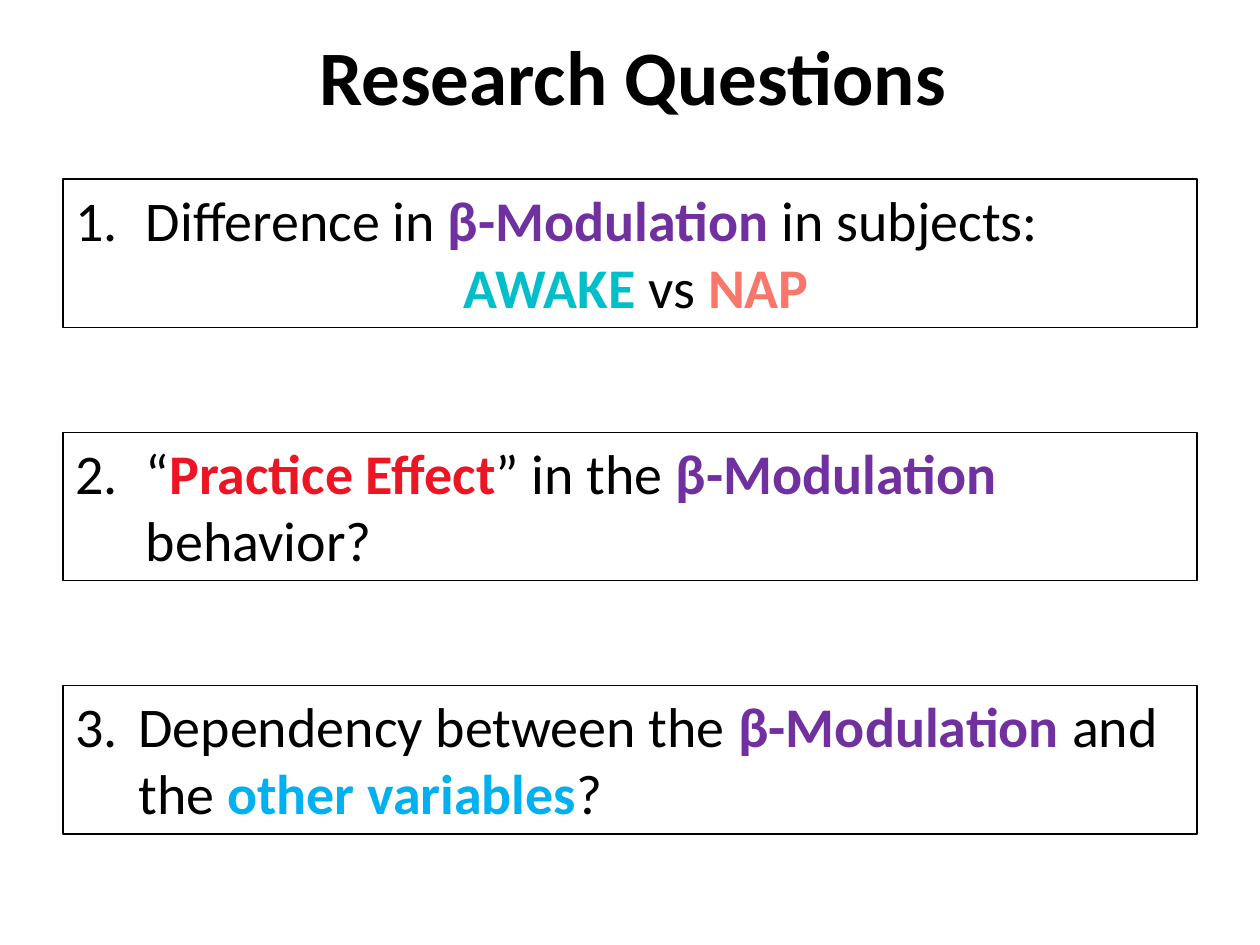
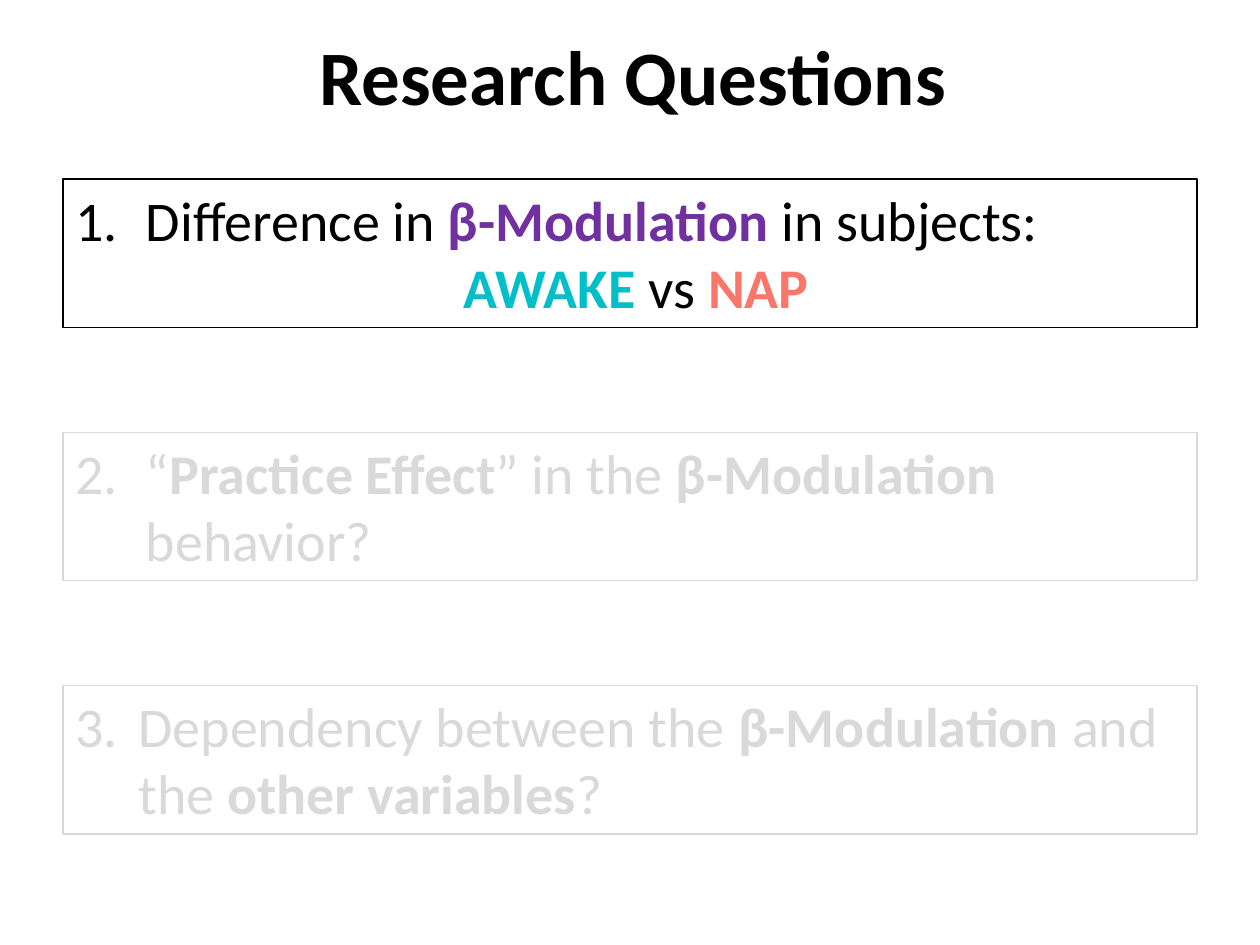
from pptx import Presentation
from pptx.dml.color import RGBColor
from pptx.enum.shapes import MSO_SHAPE
from pptx.enum.text import MSO_ANCHOR, MSO_AUTO_SIZE, PP_ALIGN
from pptx.oxml.ns import qn
from pptx.util import Inches, Pt
from lxml.etree import SubElement

COLORS = {"text": "000000", "faded": "D9D9D9", "beta": "7030A0", "practice": "ED1524",
          "awake": "00BFC9", "nap": "F9766A", "variables": "00B0F0"}
COLS, ROWS = 20, 15
FIRST_ROW, ROW_STEP = 2.84, 4.02

QUESTIONS = [
    (0.56, [[("Difference in ", "text"), ("β-Modulation", "beta"), (" in subjects:", "text")],
            [("AWAKE", "awake"), (" vs ", "text"), ("NAP", "nap")]]),
    (0.56, [[("“", "text"), ("Practice Effect", "practice"), ("” in the ", "text"),
             ("β-Modulation ", "beta"), ("behavior?", "text")]]),
    (0.5, [[("Dependency between the ", "text"), ("β-Modulation ", "beta"),
            ("and the ", "text"), ("other variables", "variables"), ("?", "text")]]),
]


class Deck:
    """Slide style, grid and element builders."""

    def __init__(self):
        self.prs = Presentation()
        self.prs.slide_width, self.prs.slide_height = Inches(10), Inches(7.5)
        self.font = "Calibri"

    def new_slide(self):
        self.s = self.prs.slides.add_slide(self.prs.slide_layouts[6])

    def place(self, col, row, cols, rows):
        x, y = self.prs.slide_width / COLS, self.prs.slide_height / ROWS
        return [int(v) for v in (col * x, row * y, cols * x, rows * y)]

    def run(self, p, text, size, color, bold):
        r = p.add_run()
        r.text = text
        r.font.name, r.font.size, r.font.bold = self.font, Pt(size), bold
        r.font.color.rgb = RGBColor.from_string(COLORS[color])

    def indent(self, p, left, first=0, number=None):
        pPr = p._p.get_or_add_pPr()
        pPr.set("marL", str(Inches(left)))
        pPr.set("indent", str(Inches(first)))
        if number:
            SubElement(pPr, qn("a:buFont"), typeface="+mj-lt")
            SubElement(pPr, qn("a:buAutoNum"), type="arabicPeriod", startAt=str(number))

    def title(self, text):
        tf = self.s.shapes.add_textbox(*self.place(1.8, 0.3, 16.5, 1.76)).text_frame
        tf.word_wrap, tf.vertical_anchor = True, MSO_ANCHOR.MIDDLE
        p = tf.paragraphs[0]
        p.alignment = PP_ALIGN.CENTER
        self.run(p, text, 44, "text", True)

    def question(self, number, hanging, lines, faded):
        row = FIRST_ROW + (number - 1) * ROW_STEP
        sp = self.s.shapes.add_shape(MSO_SHAPE.RECTANGLE, *self.place(1, row, 18, 2.36))
        sp.shadow.inherit = False
        sp.fill.background()
        sp.line.color.rgb = RGBColor.from_string(COLORS["faded" if faded else "text"])
        sp.line.width = Pt(0.75)
        tf = sp.text_frame
        tf.word_wrap, tf.vertical_anchor = True, MSO_ANCHOR.TOP
        tf.auto_size = MSO_AUTO_SIZE.SHAPE_TO_FIT_TEXT
        for i, runs in enumerate(lines):
            p = tf.add_paragraph() if i else tf.paragraphs[0]
            p.alignment = PP_ALIGN.CENTER if i else PP_ALIGN.LEFT
            if i:
                self.indent(p, 0.1)
            else:
                self.indent(p, hanging, -hanging, number)
            for text, color in runs:
                self.run(p, text, 32, "faded" if faded else color, color != "text")


def main():
    deck = Deck()
    for active in ({1, 2, 3}, {1}):
        deck.new_slide()
        deck.title("Research Questions")
        for number, (hanging, lines) in enumerate(QUESTIONS, 1):
            deck.question(number, hanging, lines, number not in active)
    deck.prs.save("out.pptx")


if __name__ == "__main__":
    main()
